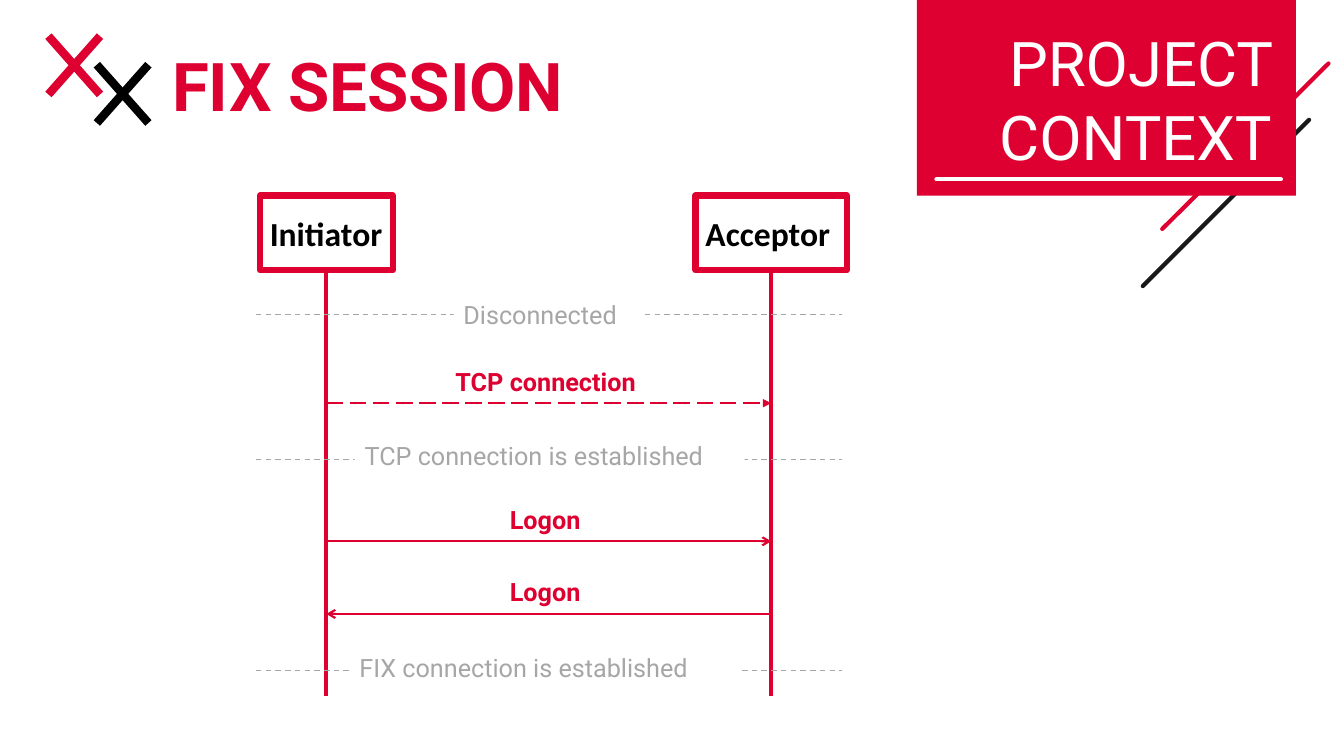
from dataclasses import dataclass

from lxml.etree import SubElement
from pptx import Presentation
from pptx.dml.color import RGBColor
from pptx.enum.dml import MSO_LINE_DASH_STYLE as Dash
from pptx.enum.shapes import MSO_CONNECTOR, MSO_SHAPE
from pptx.enum.text import MSO_ANCHOR as Anchor, PP_ALIGN as Align
from pptx.oxml.ns import qn
from pptx.shapes.autoshape import Shape
from pptx.shapes.connector import Connector
from pptx.slide import Slide
from pptx.util import Cm, Pt

COLORS = {"red": "DD0031", "black": "000000", "ink": "191919", "white": "FFFFFF", "gray": "A6A6A6"}
BOTTOM = 2  # connection site of a rectangle
BOX_TOP, BOX_HEIGHT = 4.93, 1.88
LIFELINE_END = 17.55
STATE_LEFT, STATE_RIGHT = 6.45, 21.23
MESSAGE_LABEL_RISE, MESSAGE_LABEL_HEIGHT = 0.81, 0.51


@dataclass
class Participant:
    name: str
    left: float
    width: float

    @property
    def center(self) -> float:
        return self.left + self.width / 2


@dataclass
class State:
    text: str
    y: float
    left: float
    top: float
    width: float
    height: float


@dataclass
class Message:
    text: str
    y: float
    left: float
    width: float
    arrow_end: str
    arrow_type: str
    dash: Dash | None = None


@dataclass
class Stroke:
    start: tuple[float, float]
    end: tuple[float, float]
    color: str


@dataclass
class Cross:
    left: float
    top: float
    color: str


INITIATOR = Participant("Initiator", 6.55, 3.35)
ACCEPTOR = Participant("Acceptor", 17.53, 3.81)
STATES = [
    State("Disconnected", 7.92, 11.43, 7.52, 4.8, 0.81),
    State("TCP connection is established", 11.58, 8.94, 11.15, 9.83, 0.66),
    State("FIX connection is established", 16.89, 8.81, 16.48, 9.83, 0.66),
]
MESSAGES = [
    Message("TCP connection", 10.16, 11.23, 5.51, "tailEnd", "triangle", Dash.LONG_DASH),
    Message("Logon", 13.64, 12.6, 2.49, "tailEnd", "arrow"),
    Message("Logon", 15.47, 12.6, 2.49, "headEnd", "arrow"),
]
DIAGONALS = [
    Stroke((32.99, 3.02), (28.8, 7.21), "ink"),
    Stroke((33.48, 1.6), (29.29, 5.77), "red"),
]
UNDERLINE = Stroke((32.28, 4.52), (23.6, 4.52), "white")
CROSSES = [Cross(1.22, 0.91, "red"), Cross(2.44, 1.63, "black")]
CROSS_WIDTH, CROSS_HEIGHT = 1.3, 1.47


def rgb(name: str) -> RGBColor:
    return RGBColor.from_string(COLORS[name])


def add_line(slide: Slide, stroke: Stroke, width: float, dash: Dash | None = None,
             round_cap: bool = False) -> Connector:
    points = [Cm(value) for value in (*stroke.start, *stroke.end)]
    connector = slide.shapes.add_connector(MSO_CONNECTOR.STRAIGHT, *points)
    connector.line.color.rgb = rgb(stroke.color)
    connector.line.width = Pt(width)
    if dash is not None:
        connector.line.dash_style = dash
    properties = connector._element.spPr
    if round_cap:
        properties.find(qn("a:ln")).set("cap", "rnd")
    SubElement(properties, qn("a:effectLst"))
    return connector


def add_rectangle(slide: Slide, left: float, top: float, width: float, height: float,
                  fill: str, border: str | None = None) -> Shape:
    shape = slide.shapes.add_shape(MSO_SHAPE.RECTANGLE, Cm(left), Cm(top), Cm(width), Cm(height))
    shape.shadow.inherit = False
    shape.fill.solid()
    shape.fill.fore_color.rgb = rgb(fill)
    if border:
        shape.line.color.rgb = rgb(border)
        shape.line.width = Pt(4.5)
        SubElement(shape._element.spPr.find(qn("a:ln")), qn("a:round"))
    else:
        shape.line.fill.background()
    return shape


def write(shape: Shape, text: str, size: float, color: str, bold: bool = False,
          font: str = "Roboto", align: Align = Align.LEFT, anchor: Anchor = Anchor.MIDDLE) -> None:
    frame = shape.text_frame
    frame.word_wrap = True
    frame.vertical_anchor = anchor
    paragraph = frame.paragraphs[0]
    paragraph.alignment = align
    run = paragraph.add_run()
    run.text = text
    run.font.name = font
    run.font.size = Pt(size)
    run.font.bold = bold
    run.font.color.rgb = rgb(color)


def add_label(slide: Slide, text: str, left: float, top: float, width: float, height: float,
              color: str, bold: bool) -> None:
    label = add_rectangle(slide, left, top, width, height, "white")
    label.text_frame.margin_top = label.text_frame.margin_bottom = 0
    write(label, text, 18, color, bold)


def add_participant(slide: Slide, participant: Participant) -> None:
    box = add_rectangle(slide, participant.left, BOX_TOP, participant.width, BOX_HEIGHT, "white", "red")
    box.text_frame.margin_right = 0
    write(box, participant.name, 24, "black", True, "Calibri")
    x = participant.center
    lifeline = add_line(slide, Stroke((x, BOX_TOP + BOX_HEIGHT), (x, LIFELINE_END), "red"), 3)
    lifeline.begin_connect(box, BOTTOM)


def add_state(slide: Slide, state: State) -> None:
    add_line(slide, Stroke((STATE_LEFT, state.y), (STATE_RIGHT, state.y), "gray"), 1, Dash.DASH)
    add_label(slide, state.text, state.left, state.top, state.width, state.height, "gray", False)


def add_message(slide: Slide, message: Message) -> None:
    stroke = Stroke((INITIATOR.center, message.y), (ACCEPTOR.center, message.y), "red")
    arrow = add_line(slide, stroke, 1.5, message.dash)
    SubElement(arrow._element.spPr.find(qn("a:ln")), qn(f"a:{message.arrow_end}"), type=message.arrow_type)
    add_label(slide, message.text, message.left, message.y - MESSAGE_LABEL_RISE,
              message.width, MESSAGE_LABEL_HEIGHT, "red", True)


def add_cross(slide: Slide, cross: Cross) -> None:
    right, bottom = cross.left + CROSS_WIDTH, cross.top + CROSS_HEIGHT
    add_line(slide, Stroke((right, cross.top), (cross.left, bottom), cross.color), 6)
    add_line(slide, Stroke((cross.left, cross.top), (right, bottom), cross.color), 6)


def main() -> None:
    presentation = Presentation()
    presentation.slide_width, presentation.slide_height = Cm(33.87), Cm(19.05)
    slide = presentation.slides.add_slide(presentation.slide_layouts[6])

    # Section banner
    for diagonal in DIAGONALS:
        add_line(slide, diagonal, 3, round_cap=True)
    add_rectangle(slide, 23.11, 0, 9.55, 4.93, "red")
    section = slide.shapes.add_textbox(Cm(18.31), Cm(0.51), Cm(14), Cm(4.01))
    write(section, "PROJECT CONTEXT", 44, "white", align=Align.RIGHT, anchor=Anchor.TOP)
    add_line(slide, UNDERLINE, 3, round_cap=True)

    # Title with crosses
    for cross in CROSSES:
        add_cross(slide, cross)
    title = slide.shapes.add_textbox(Cm(4.09), Cm(-0.08), Cm(12.65), Cm(4.42))
    write(title, "FIX SESSION", 48, "red", True)

    # Sequence diagram
    for participant in (ACCEPTOR, INITIATOR):
        add_participant(slide, participant)
    for state in STATES:
        add_state(slide, state)
    for message in MESSAGES:
        add_message(slide, message)

    presentation.save("out.pptx")


if __name__ == "__main__":
    main()
